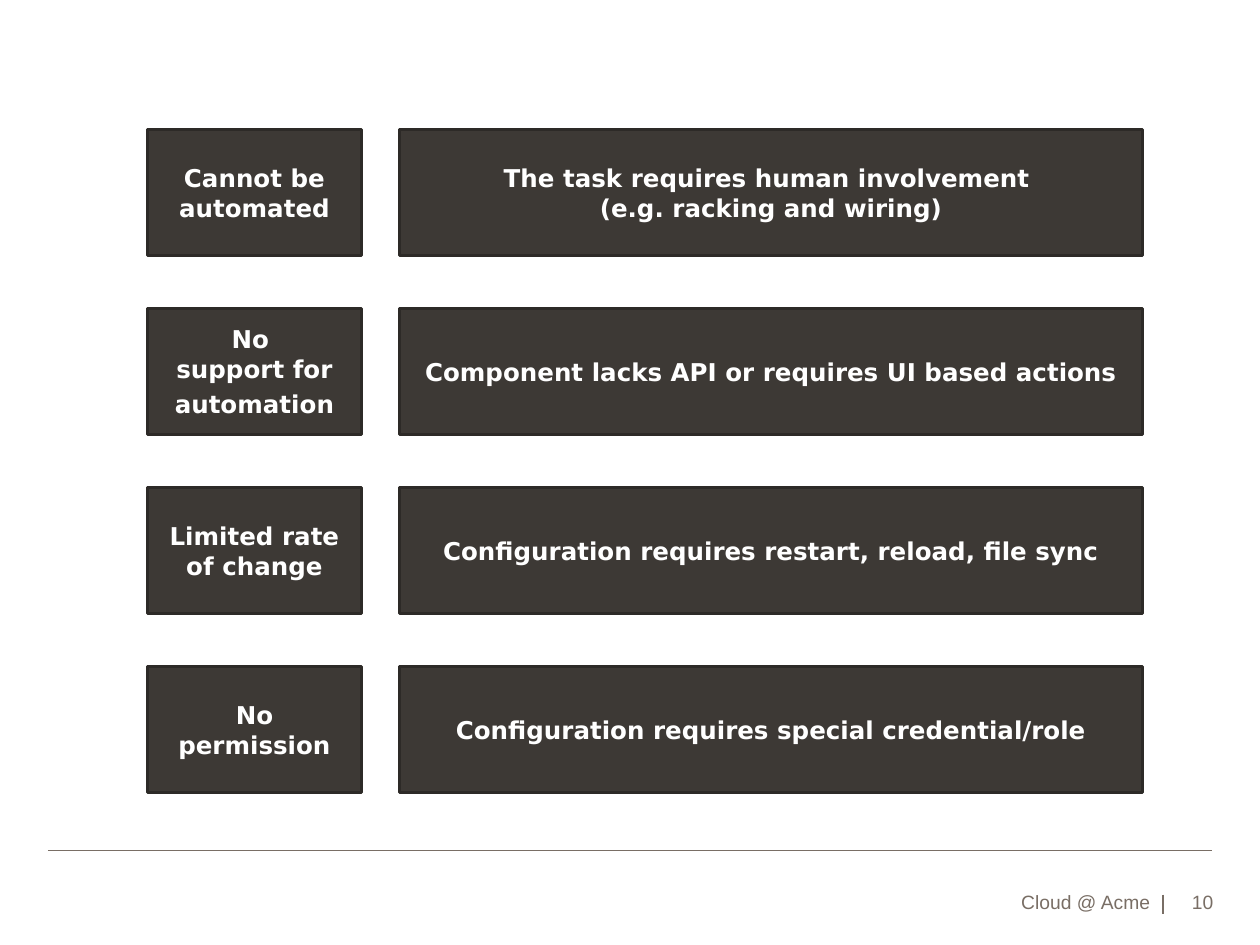
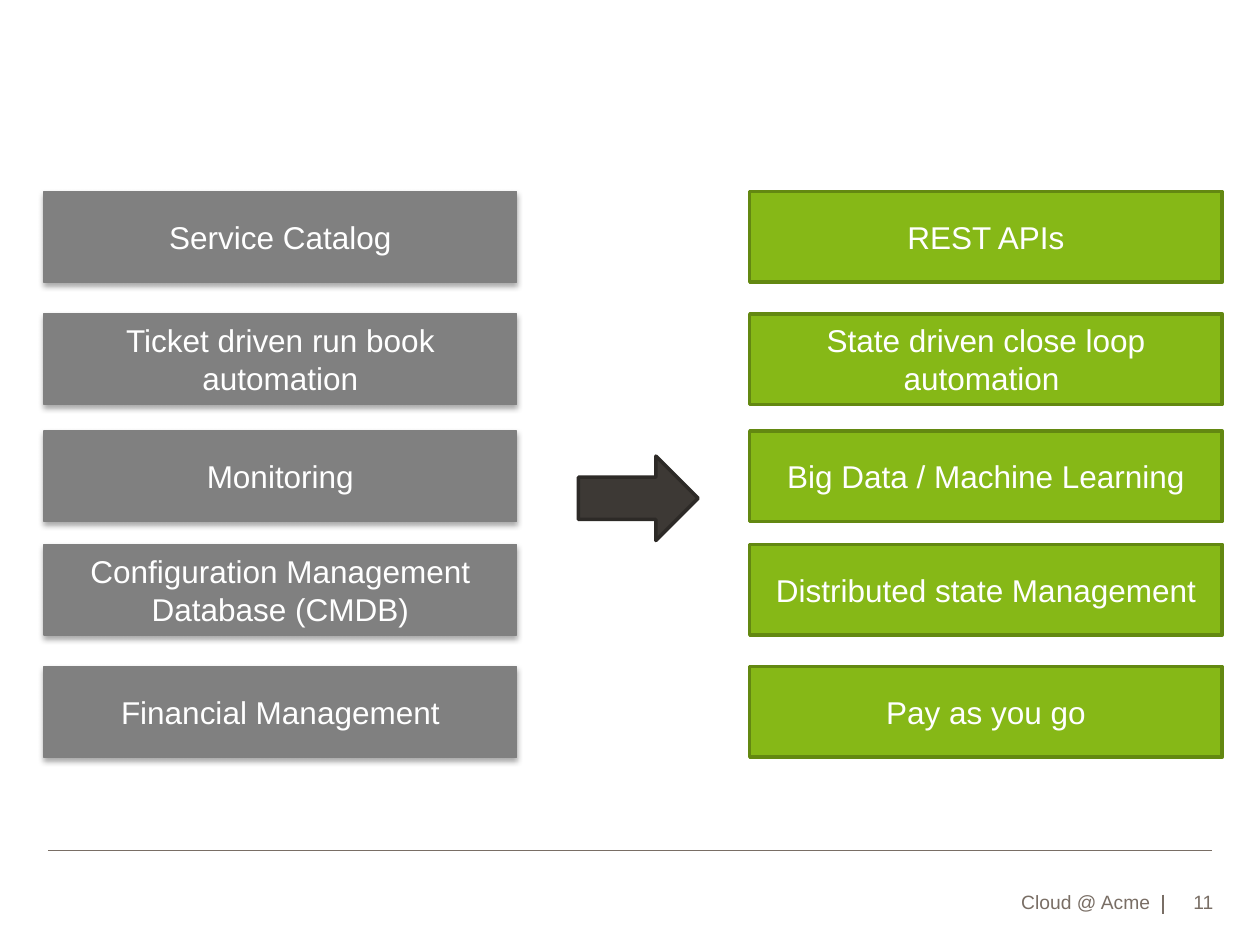
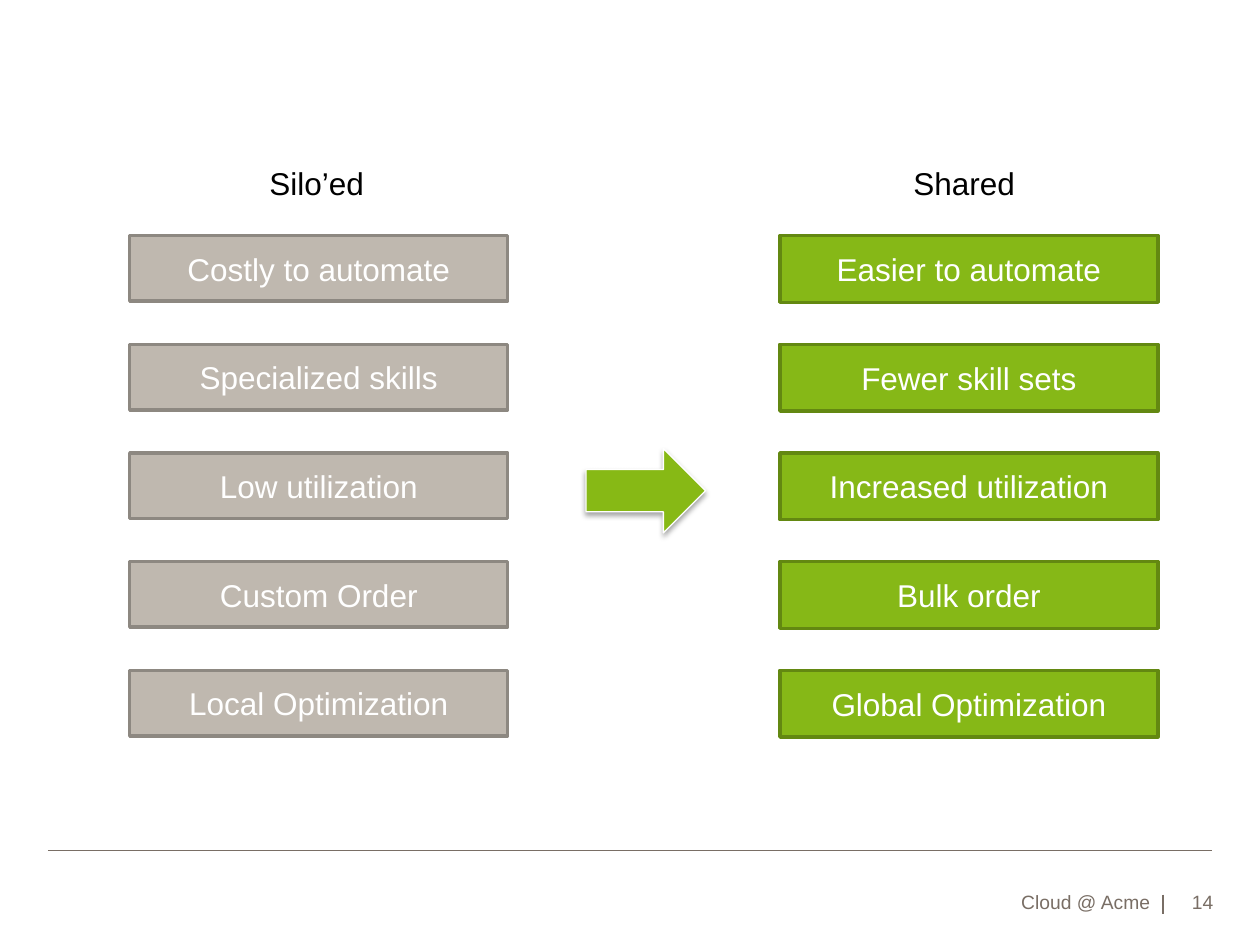
from dataclasses import dataclass

from lxml import etree
from pptx import Presentation
from pptx import util as u
from pptx.dml.color import RGBColor
from pptx.enum import shapes, text
from pptx.oxml import ns

WHITE = RGBColor(0xFF, 0xFF, 0xFF)
BLACK = RGBColor(0x00, 0x00, 0x00)
TAUPE = RGBColor(0x79, 0x6E, 0x65)
CHARCOAL = RGBColor(0x3D, 0x39, 0x35)
CHARCOAL_EDGE = RGBColor(0x2D, 0x2A, 0x27)
GRAY = RGBColor(0x80, 0x80, 0x80)
STONE = RGBColor(0xBF, 0xB8, 0xAF)
STONE_EDGE = RGBColor(0x8D, 0x88, 0x81)
GREEN = RGBColor(0x86, 0xB8, 0x17)
GREEN_EDGE = RGBColor(0x63, 0x88, 0x11)
ARROW_GREEN = RGBColor(0x87, 0xB9, 0x15)

FOOTER = "Cloud @ Acme"


@dataclass(frozen=True)
class BoxStyle:
    """Look of a filled shape and its text."""
    fill: RGBColor
    edge: RGBColor
    edge_width: float = 2
    shadow: bool = False
    font: str = "Arial"
    size: int = 18
    bold: bool = False
    space_before: float = 0
    wrap: bool = True


DARK = BoxStyle(CHARCOAL, CHARCOAL_EDGE, font="DejaVu Sans", size=14, bold=True, space_before=3.5)
LEGACY = BoxStyle(GRAY, GRAY, edge_width=0.75, shadow=True)
MODERN = BoxStyle(GREEN, GREEN_EDGE)
SILOED = BoxStyle(STONE, STONE_EDGE, wrap=False)
SHARED = BoxStyle(GREEN, GREEN_EDGE, wrap=False)
GLOSSY_ARROW = BoxStyle(ARROW_GREEN, WHITE, edge_width=0.75, shadow=True)

BARRIERS = [
    ([["Cannot be automated"]],
     [["The task requires human involvement ", "(e.g. racking and wiring)"]]),
    ([["No ", "support for"], ["automation"]],
     [["Component lacks API or requires UI based actions"]]),
    ([["Limited rate of change"]],
     [["Configuration requires restart, reload, file sync"]]),
    ([["No permission"]],
     [["Configuration requires special credential/role"]]),
]
PRACTICE_TOPS = [1.52, 2.49, 3.42, 4.32, 5.29]
LEGACY_PRACTICES = [
    [["Service Catalog"]],
    [["Ticket driven run book automation"]],
    [["Monitoring"]],
    [["Configuration Management"], ["Database (CMDB)"]],
    [["Financial Management"]],
]
MODERN_PRACTICES = [
    [["REST APIs"]],
    [["State driven close loop"], ["automation "]],
    [["Big Data / Machine Learning"]],
    [["Distributed state Management"]],
    [["Pay as you go"]],
]
QUALITY_TOPS = [1.87 + 0.8625 * row for row in range(5)]
SILOED_QUALITIES = ["Costly to automate", "Specialized skills", "Low utilization",
                    "Custom Order", "Local Optimization"]
SHARED_QUALITIES = ["Easier to automate", "Fewer skill sets", "Increased utilization",
                    "Bulk order", "Global Optimization"]


def inches(*lengths):
    """Convert several lengths to Inches."""
    return [u.Inches(length) for length in lengths]


def write(frame, paragraphs, font, size, color, alignment, bold=False, space_before=0):
    """Write paragraphs, each a list of lines, into a text frame."""
    for index, lines in enumerate(paragraphs):
        paragraph = frame.add_paragraph() if index else frame.paragraphs[0]
        paragraph.alignment = alignment
        paragraph.space_before = u.Pt(space_before)
        for number, line in enumerate(lines):
            if number:
                paragraph.add_line_break()
            run = paragraph.add_run()
            run.text = line
            run.font.name = font
            run.font.size = u.Pt(size)
            run.font.bold = bold
            run.font.color.rgb = color


def add_soft_shadow(shape):
    """Give a shape a soft shadow that falls straight down."""
    effects = shape._element.spPr.find(ns.qn("a:effectLst"))
    shadow = etree.SubElement(effects, ns.qn("a:outerShdw"), blurRad="40000", dist="23000",
                              dir="5400000", rotWithShape="0")
    color = etree.SubElement(shadow, ns.qn("a:srgbClr"), val=str(BLACK))
    etree.SubElement(color, ns.qn("a:alpha"), val="35000")


def add_box(container, place, style, paragraphs=(), kind=shapes.MSO_SHAPE.RECTANGLE):
    """Add a filled shape with centred text."""
    shape = container.add_shape(kind, *inches(*place))
    shape.shadow.inherit = False
    if style.shadow:
        add_soft_shadow(shape)
    shape.fill.solid()
    shape.fill.fore_color.rgb = style.fill
    shape.line.color.rgb = style.edge
    shape.line.width = u.Pt(style.edge_width)
    frame = shape.text_frame
    frame.word_wrap = style.wrap
    frame.vertical_anchor = text.MSO_ANCHOR.MIDDLE
    write(frame, paragraphs, style.font, style.size, WHITE, text.PP_ALIGN.CENTER,
          style.bold, style.space_before)


def add_arrow(slide, left, top, style):
    """Add the arrow between two columns."""
    add_box(slide.shapes, (left, top, 0.95, 0.67), style, kind=shapes.MSO_SHAPE.RIGHT_ARROW)


def add_column(container, left, tops, width, height, style, labels):
    """Stack one box per label."""
    for top, paragraphs in zip(tops, labels):
        add_box(container, (left, top, width, height), style, paragraphs)


def add_heading(slide, left, width, label):
    """Add the heading above a column."""
    frame = slide.shapes.add_textbox(*inches(left, 1.25, width, 0.4)).text_frame
    frame.word_wrap = False
    frame.auto_size = text.MSO_AUTO_SIZE.SHAPE_TO_FIT_TEXT
    write(frame, [[label]], "Arial", 18, BLACK, text.PP_ALIGN.LEFT)


def add_rule(slide, *ends):
    """Add a thin footer line."""
    rule = slide.shapes.add_connector(shapes.MSO_CONNECTOR.STRAIGHT, *inches(*ends))
    rule.line.color.rgb = TAUPE
    rule.line.width = u.Pt(1)
    etree.SubElement(rule._element.spPr, ns.qn("a:effectLst"))


def add_footer_text(slide, place, label):
    """Add right-aligned footer text."""
    frame = slide.shapes.add_textbox(*inches(*place)).text_frame
    frame.word_wrap = True
    frame.vertical_anchor = text.MSO_ANCHOR.BOTTOM
    frame.margin_left = frame.margin_right = frame.margin_bottom = 0
    frame.margin_top = u.Inches(0.05)
    write(frame, [[label]], "Arial", 11, TAUPE, text.PP_ALIGN.RIGHT)


def new_slide(presentation, number):
    """Add a blank slide with the shared footer."""
    slide = presentation.slides.add_slide(presentation.slide_layouts[6])
    add_rule(slide, 0.38, 6.75, 9.62, 6.75)
    add_rule(slide, 9.23, 7.1, 9.23, 7.25)
    add_footer_text(slide, (5.47, 6.97, 3.66, 0.28), FOOTER)
    add_footer_text(slide, (9.23, 6.98, 0.4, 0.27), str(number))
    return slide


def build_barriers(presentation):
    """Build the slide on barriers to automation."""
    slide = new_slide(presentation, 10)
    for row, (barrier, reason) in enumerate(BARRIERS):
        top = 1.03 + 1.42 * row
        group = slide.shapes.add_group_shape().shapes
        add_box(group, (1.17, top, 1.7, 1), DARK, barrier)
        add_box(group, (3.17, top, 5.9, 1), DARK, reason)


def build_practices(presentation):
    """Build the slide on legacy and modern practices."""
    slide = new_slide(presentation, 11)
    add_arrow(slide, 4.59, 3.62, DARK)
    for left, style, labels in ((0.35, LEGACY, LEGACY_PRACTICES),
                                (5.95, MODERN, MODERN_PRACTICES)):
        group = slide.shapes.add_group_shape().shapes
        add_column(group, left, PRACTICE_TOPS, 3.75, 0.72, style, labels)


def build_qualities(presentation):
    """Build the slide on siloed and shared infrastructure."""
    slide = new_slide(presentation, 14)
    for left, height, style, labels in ((1.03, 0.52, SILOED, SILOED_QUALITIES),
                                        (6.19, 0.53, SHARED, SHARED_QUALITIES)):
        add_column(slide.shapes, left, QUALITY_TOPS, 3, height, style,
                   [[[label]] for label in labels])
    add_heading(slide, 2.04, 0.96, "Silo’ed")
    add_heading(slide, 7.15, 1.02, "Shared")
    add_arrow(slide, 4.65, 3.56, GLOSSY_ARROW)


def main():
    """Build and save the presentation."""
    presentation = Presentation()
    presentation.slide_width, presentation.slide_height = inches(10, 7.5)
    build_barriers(presentation)
    build_practices(presentation)
    build_qualities(presentation)
    presentation.save("out.pptx")


if __name__ == "__main__":
    main()
